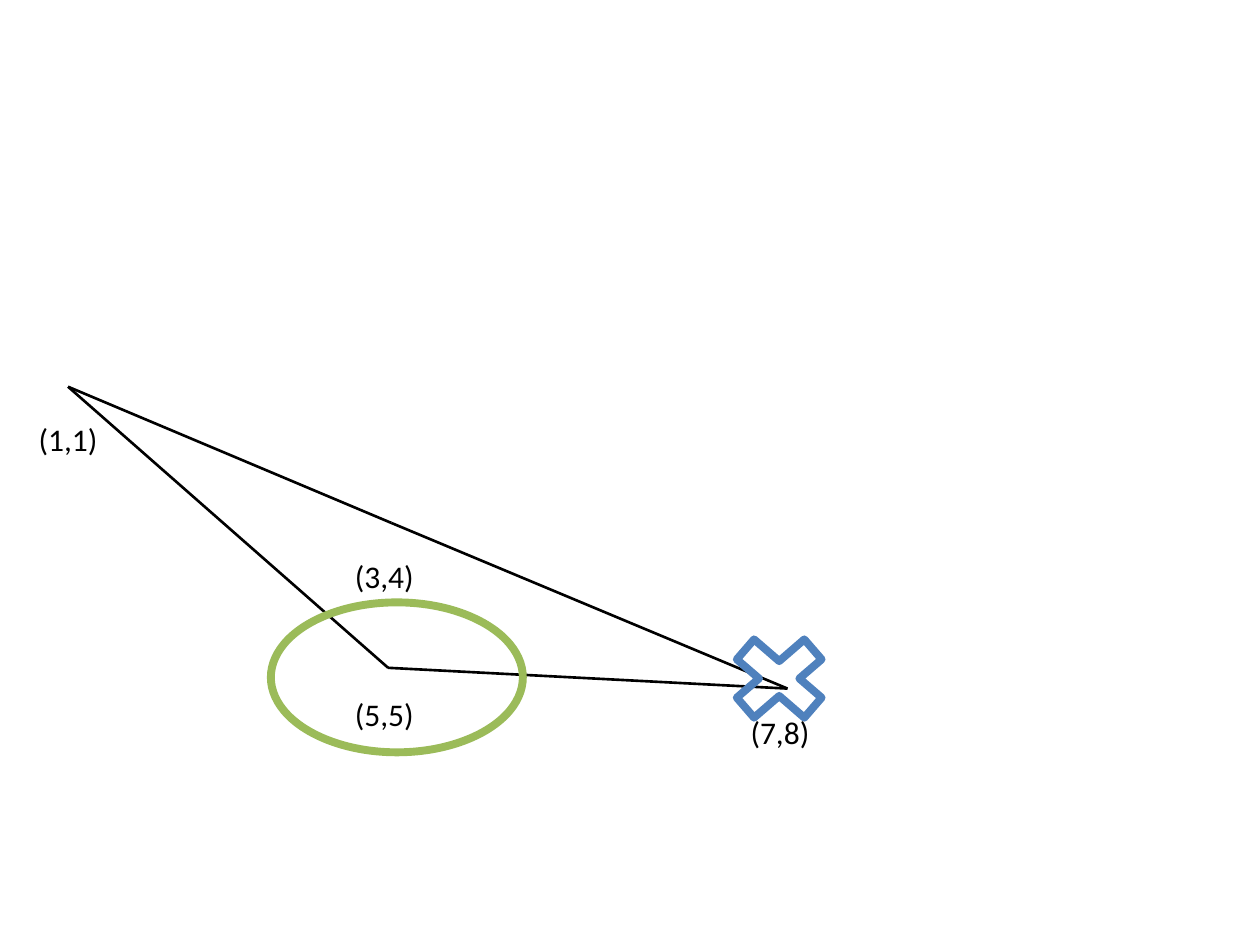
from lxml import etree
from pptx import Presentation
from pptx.dml.color import RGBColor
from pptx.enum.shapes import MSO_CONNECTOR, MSO_SHAPE
from pptx.enum.text import MSO_AUTO_SIZE, PP_ALIGN
from pptx.oxml.ns import qn
from pptx.util import Pt

STRAIGHT = MSO_CONNECTOR.STRAIGHT
CROSS = MSO_SHAPE.MATH_MULTIPLY
ELLIPSE = MSO_SHAPE.OVAL
CENTER = PP_ALIGN.CENTER
FIT_SHAPE = MSO_AUTO_SIZE.SHAPE_TO_FIT_TEXT

COLORS = {"black": "000000", "blue": "4F81BD", "green": "9BBB59"}

deck = Presentation()
deck.slide_width, deck.slide_height = Pt(720), Pt(540)
page = deck.slides.add_slide(deck.slide_layouts[6])

# Coordinate labels: text, left, top
labels = [
    ("(1,1)", 14.4, 236.2),
    ("(3,4)", 195.1, 314.6),
    ("(5,5)", 195.1, 393.8),
    ("(7,8)", 421.2, 403.9),
]
for text, left, top in labels:
    box = page.shapes.add_textbox(Pt(left), Pt(top), Pt(49), Pt(29))
    frame = box.text_frame
    frame.word_wrap = False
    frame.auto_size = FIT_SHAPE
    para = frame.paragraphs[0]
    para.alignment = CENTER
    span = para.add_run()
    span.text = text
    span.font.name = "Calibri"
    span.font.size = Pt(18)
    span.font.color.rgb = RGBColor.from_string(COLORS["black"])

# Edges between the points
start, bend, goal = (38.9, 221), (221.8, 381.6), (450, 393.5)
middle = (223.6, 298.8)
edges = [(start, middle), (start, bend), (middle, goal), (bend, goal)]
for (x1, y1), (x2, y2) in edges:
    edge = page.shapes.add_connector(STRAIGHT, Pt(x1), Pt(y1), Pt(x2), Pt(y2))
    edge.line.color.rgb = RGBColor.from_string(COLORS["black"])
    edge.line.width = Pt(1.5)
    properties = edge._element.spPr
    etree.SubElement(properties, qn("a:effectLst"))

# Outlined markers: kind, left, top, width, height, colour
markers = [
    (CROSS, 408.2, 355.7, 74.2, 64.1, "blue"),
    (ELLIPSE, 154.8, 344.2, 144, 85.7, "green"),
]
for kind, left, top, width, height, color in markers:
    marker = page.shapes.add_shape(kind, Pt(left), Pt(top), Pt(width), Pt(height))
    marker.shadow.inherit = False
    marker.fill.background()
    marker.line.color.rgb = RGBColor.from_string(COLORS[color])
    marker.line.width = Pt(4.5)

deck.save("out.pptx")
